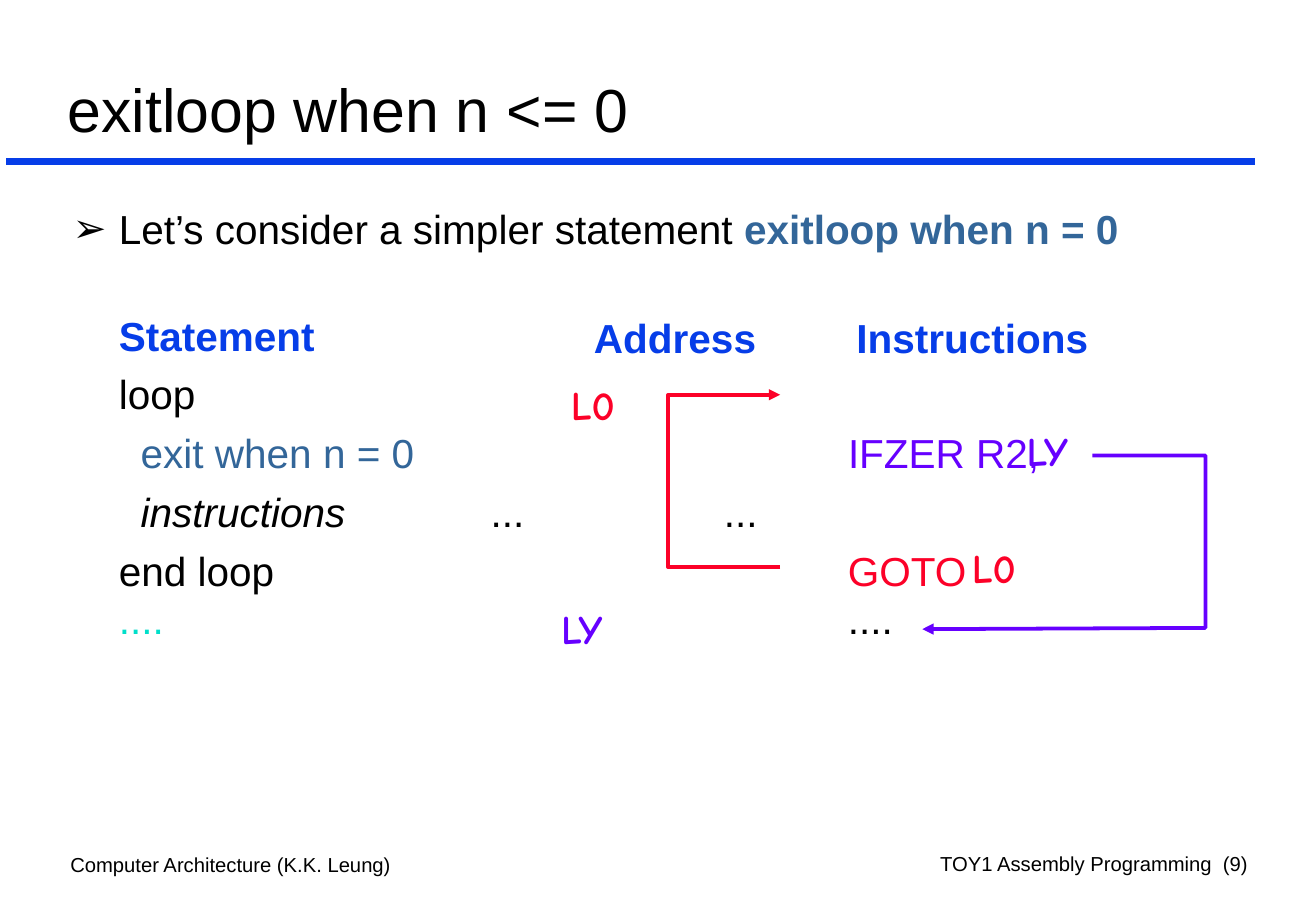
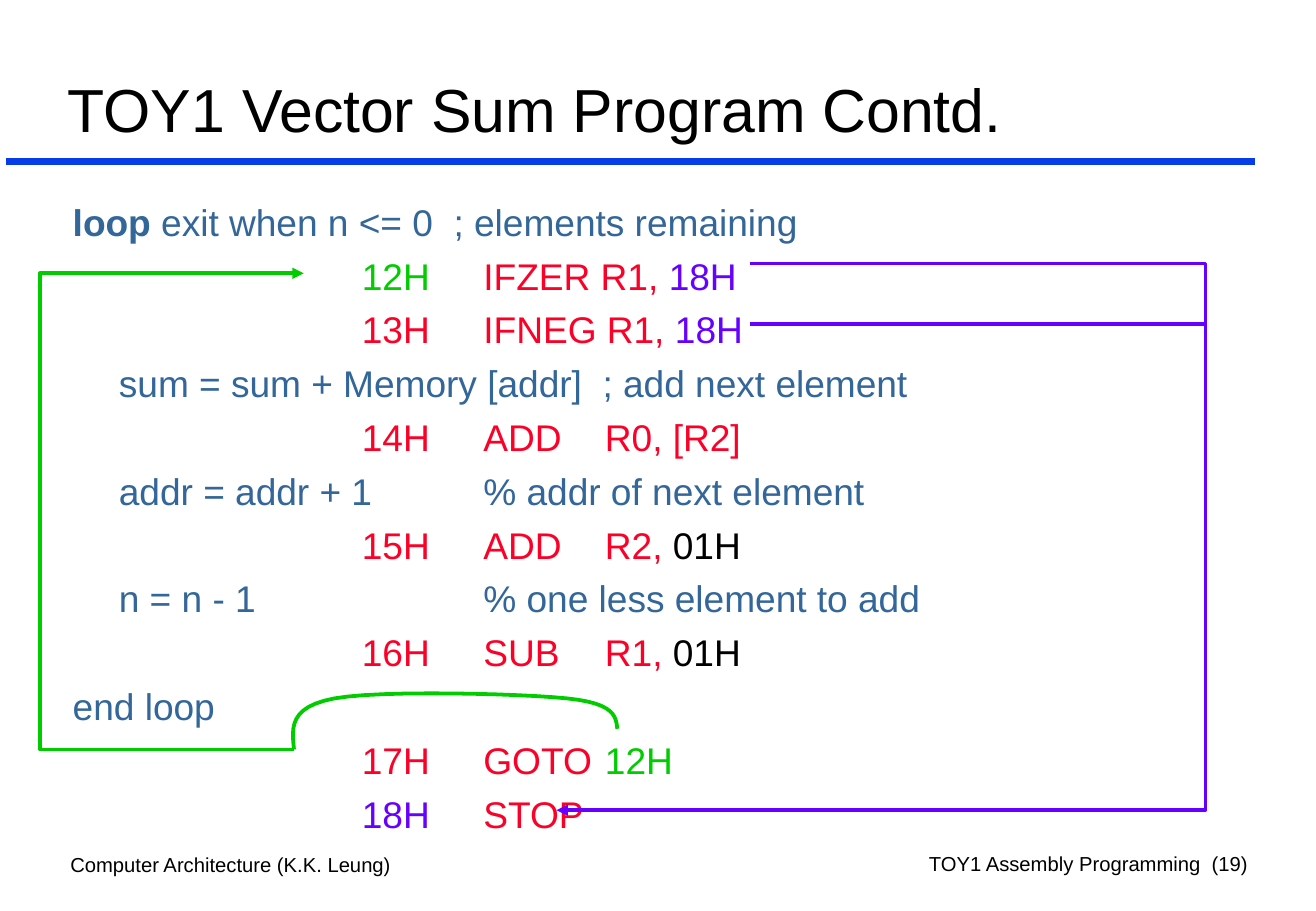
from lxml import etree
from pptx import Presentation
from pptx.dml.color import RGBColor
from pptx.enum.shapes import MSO_CONNECTOR
from pptx.enum.text import MSO_ANCHOR, PP_ALIGN
from pptx.oxml.ns import qn
from pptx.util import Inches, Pt

STRAIGHT = MSO_CONNECTOR.STRAIGHT
TOP, BOTTOM = MSO_ANCHOR.TOP, MSO_ANCHOR.BOTTOM
LEFT, RIGHT = PP_ALIGN.LEFT, PP_ALIGN.RIGHT

BLACK = RGBColor(0x00, 0x00, 0x00)
BLUE = RGBColor(0x06, 0x3D, 0xE8)
STEEL = RGBColor(0x33, 0x66, 0x99)
PURPLE = RGBColor(0x66, 0x00, 0xFF)
RED = RGBColor(0xFC, 0x01, 0x28)
GREEN = RGBColor(0x00, 0xCC, 0x00)
CYAN = RGBColor(0x00, 0xDF, 0xCA)

FONT, LABEL_FONT = "Arial", "Comic Neue"
HANG = 0.38
NESTED = 0.56
ARROW_WIDTH = 2.25


# Text helpers
def add_text(slide, box, anchor=TOP, wrap=True):
    tf = slide.shapes.add_textbox(*map(Inches, box)).text_frame
    tf.word_wrap = wrap
    tf.vertical_anchor = anchor
    return tf


def style_run(r, size, color, bold=False, italic=False, font=FONT):
    r.font.name, r.font.size = font, Pt(size)
    r.font.color.rgb = color
    r.font.bold, r.font.italic = bold, italic


def add_line_of_text(slide, box, text, size, color=BLACK, align=LEFT,
                     anchor=TOP, wrap=True, bold=False, font=FONT):
    p = add_text(slide, box, anchor, wrap).paragraphs[0]
    p.text = text
    p.alignment = align
    style_run(p.runs[0], size, color, bold, font=font)


def set_paragraph(p, before, margin=HANG, tab=1, bullet=None):
    """The tab is the distance between the regular tab stops."""
    p.space_before = Pt(before)
    pPr = p._p.get_or_add_pPr()
    pPr.set("marL", str(Inches(margin)))
    pPr.set("indent", str(Inches(-margin if bullet else 0)))
    pPr.set("defTabSz", str(Inches(tab)))
    if bullet:
        etree.SubElement(pPr, qn("a:buFont")).set("typeface", FONT)
        etree.SubElement(pPr, qn("a:buChar")).set("char", bullet)


def add_body(slide, box, size, rows):
    """Each row holds its paragraph settings and its runs."""
    tf = add_text(slide, box)
    for i, (settings, runs) in enumerate(rows):
        p = tf.add_paragraph() if i else tf.paragraphs[0]
        set_paragraph(p, **settings)
        for text, *style in runs:
            r = p.add_run()
            r.text = text
            style_run(r, size, *style)


# Line helpers
def style_line(sp, color, width, arrow=False):
    sp.line.color.rgb = color
    sp.line.width = Pt(width)
    if arrow:
        ln = sp.element.spPr.find(qn("a:ln"))
        etree.SubElement(ln, qn("a:tailEnd")).set("type", "triangle")


def add_straight(slide, x1, y1, x2, y2, color, width):
    sp = slide.shapes.add_connector(STRAIGHT, *map(Inches, (x1, y1, x2, y2)))
    style_line(sp, color, width)
    etree.SubElement(sp.element.spPr, qn("a:effectLst"))


def add_route(slide, points, color, arrow=True):
    points = [(Inches(x), Inches(y)) for x, y in points]
    fb = slide.shapes.build_freeform(*points[0])
    fb.add_line_segments(points[1:], close=False)
    sp = fb.convert_to_shape()
    sp.fill.background()
    style_line(sp, color, ARROW_WIDTH, arrow)
    sp.shadow.inherit = False


def bezier(a, b, c, d, steps=12):
    """Points on a cubic curve, after its start."""
    for i in range(1, steps + 1):
        t = i / steps
        u = 1 - t
        yield tuple(u**3 * k + 3 * u * u * t * m + 3 * u * t * t * n + t**3 * o
                    for k, m, n, o in zip(a, b, c, d))


# Shared frame: rule, footers and title
def add_frame(prs, title, number):
    slide = prs.slides.add_slide(prs.slide_layouts[6])
    add_straight(slide, 0.05, 1.33, 10.33, 1.33, BLUE, 4)
    add_line_of_text(slide, (0.48, 6.97, 3.69, 0.3),
                     "Computer Architecture (K.K. Leung)", 12)
    add_line_of_text(slide, (6.77, 6.96, 3.6, 0.3),
                     f"TOY1 Assembly Programming  ({number})", 12, align=RIGHT)
    add_line_of_text(slide, (0.46, 0.31, 9.9, 0.93), title, 36, anchor=BOTTOM)
    return slide


def exit_loop_slide(prs):
    slide = add_frame(prs, "exitloop when n <= 0", 9)
    plain = dict(before=6)

    # Statements and instructions
    add_body(slide, (0.5, 1.63, 9.88, 3.87), 24, [
        (dict(before=6, bullet="➢"),
         [("Let’s consider a simpler statement ", BLACK),
          ("exitloop when n = 0", STEEL, True)]),
        (dict(before=34.5), [("Statement", BLUE, True)]),
        (plain, [("loop", BLACK)]),
        (dict(before=6, margin=NESTED, tab=0.97),
         [("exit when n = 0\t\t\t\t", STEEL), ("IFZER R2,", PURPLE)]),
        (dict(before=6, margin=NESTED, tab=0.96),
         [("instructions", BLACK, False, True), ("\t\t...\t\t...", BLACK)]),
        (plain, [("end loop\t\t\t\t\t", BLACK), ("GOTO", RED)]),
        (dict(before=0), [("....\t\t\t\t\t\t", CYAN), ("....", BLACK)]),
    ])

    # Heads of the other columns
    for x, head in [(4.79, "Address"), (6.95, "Instructions")]:
        add_line_of_text(slide, (x, 2.53, 2.2, 0.5), head, 24, BLUE, bold=True)

    # Handwritten labels
    for x, y, text, color in [(8.35, 3.46, "LY", PURPLE), (4.52, 4.92, "LY", PURPLE),
                              (7.9, 4.42, "L0", RED), (4.6, 3.08, "L0", RED)]:
        add_line_of_text(slide, (x, y, 0.56, 0.5), text, 24, color,
                         wrap=False, bold=True, font=LABEL_FONT)

    # Jumps
    add_route(slide, [(8.99, 3.75), (9.92, 3.75), (9.92, 5.17), (7.59, 5.18)], PURPLE)
    add_route(slide, [(6.42, 4.67), (5.5, 4.67), (5.5, 3.25), (6.42, 3.25)], RED)


def vector_sum_slide(prs):
    slide = add_frame(prs, "TOY1 Vector Sum Program Contd.", 19)
    outer = dict(before=5.5, margin=0)
    inner = dict(before=5.5)

    # Program listing
    add_body(slide, (0.5, 1.59, 9.88, 5.42), 22, [
        (outer, [("loop", STEEL, True),
                 (" exit when n <= 0  ; elements remaining", STEEL)]),
        (inner, [("\t\t12H\t", GREEN), ("IFZER R1, ", RED), ("18H", PURPLE)]),
        (inner, [("\t\t13H\tIFNEG R1, ", RED), ("18H", PURPLE)]),
        (inner, [("sum = sum + Memory [addr]  ; add next element", STEEL)]),
        (inner, [("\t\t14H\tADD\tR0, [R2]", RED)]),
        (inner, [("addr = addr + 1\t% addr of next element", STEEL)]),
        (inner, [("\t\t15H\tADD\tR2, ", RED), ("01H", BLACK)]),
        (inner, [("n = n - 1\t\t% one less element to add", STEEL)]),
        (inner, [("\t\t16H\tSUB\tR1, ", RED), ("01H", BLACK)]),
        (outer, [("end loop", STEEL)]),
        (inner, [("\t\t17H\tGOTO\t", RED), ("12H", GREEN)]),
        (inner, [("\t\t18H\t", PURPLE), ("STOP", RED)]),
    ])

    # Jump back to the loop start
    add_route(slide, [(2.42, 6.17), (0.33, 6.17), (0.33, 2.25), (2.5, 2.25)], GREEN)
    knots = [(2.42, 6.17), (2.4, 5.99), (2.38, 5.82), (2.75, 5.75), (3.13, 5.68),
             (4.28, 5.71), (4.67, 5.75), (5.06, 5.79), (5.07, 5.9), (5.08, 6)]
    curve = knots[:1]
    for i in range(0, len(knots) - 1, 3):
        curve.extend(bezier(*knots[i:i + 4]))
    add_route(slide, curve, GREEN, arrow=False)

    # Jumps out of the loop
    add_route(slide, [(6.17, 2.17), (9.92, 2.17), (9.92, 6.67), (4.58, 6.67)], PURPLE)
    add_straight(slide, 6.17, 2.67, 9.92, 2.67, PURPLE, ARROW_WIDTH)


def main():
    prs = Presentation()
    prs.slide_width, prs.slide_height = Inches(10.83), Inches(7.5)
    exit_loop_slide(prs)
    vector_sum_slide(prs)
    prs.save("out.pptx")


if __name__ == "__main__":
    main()
